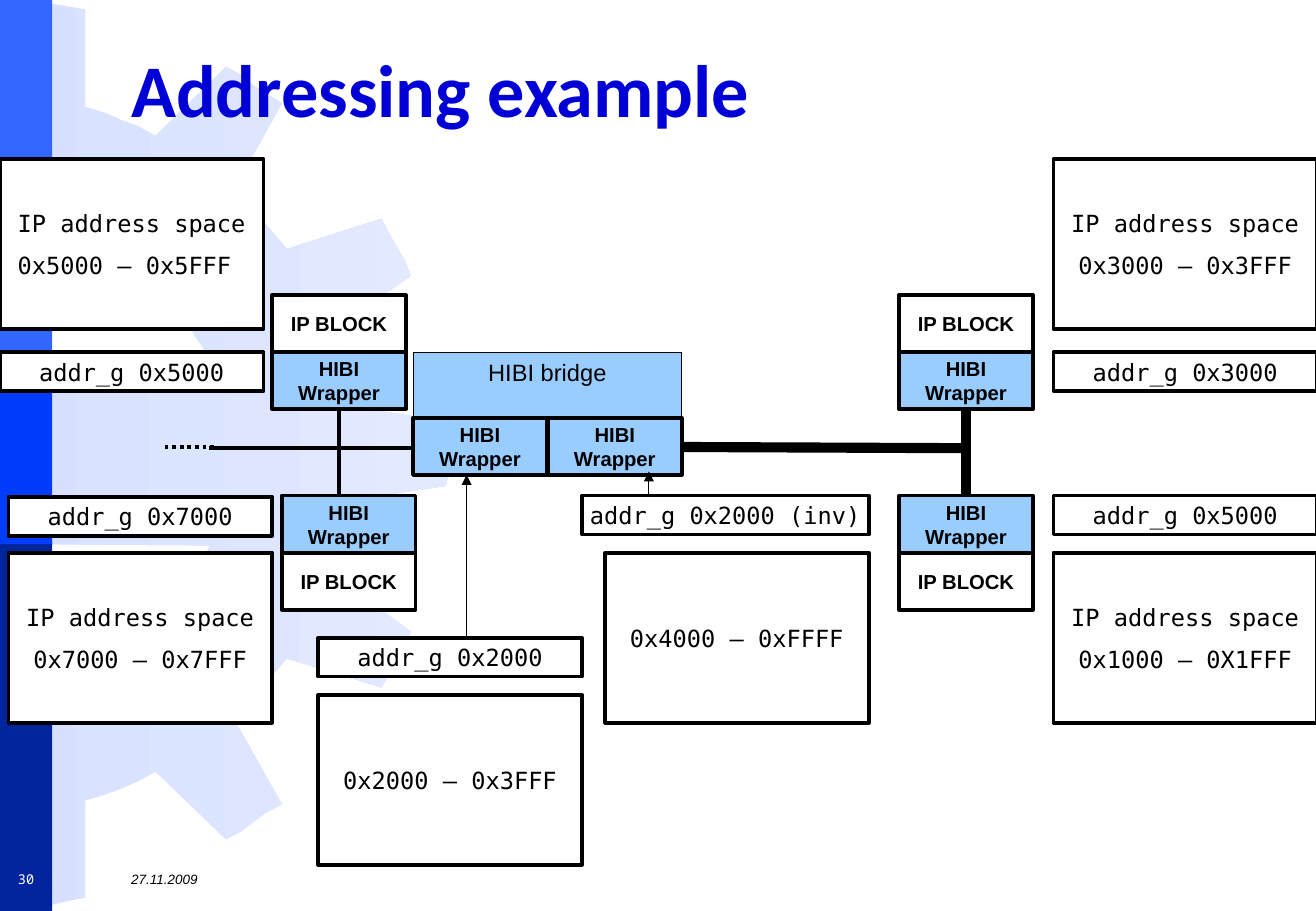
from dataclasses import dataclass

from lxml.etree import SubElement
from pptx import Presentation
from pptx.dml.color import RGBColor
from pptx.enum.dml import MSO_LINE
from pptx.enum.shapes import MSO_CONNECTOR, MSO_SHAPE
from pptx.enum.text import MSO_ANCHOR, PP_ALIGN
from pptx.oxml.ns import qn
from pptx.shapes.autoshape import Shape
from pptx.slide import Slide
from pptx.util import Pt

PX = 9144
BLACK, WHITE, LIGHT_BLUE = "000000", "FFFFFF", "99CCFF"
MONO = "DejaVu Sans Mono"
BLOCK_WIDTH, BLOCK_HEIGHT = 110, 47
SPACE_WIDTH, SPACE_HEIGHT, ADDRESS_HEIGHT = 217, 140, 32

GEAR = [
    (173, 299), (0, 299), (0, 448), (173, 449), (167, 461), (160, 472), (155, 484),
    (147, 495), (139, 504), (130, 512), (119, 522), (111, 528), (100, 536), (89, 543),
    (78, 551), (65, 555), (54, 561), (42, 564), (28, 568), (14, 570), (14, 749),
    (29, 746), (42, 745), (55, 742), (70, 739), (70, 659), (87, 654), (100, 649),
    (114, 643), (128, 635), (186, 691), (199, 684), (208, 677), (219, 669), (232, 662),
    (192, 591), (206, 578), (215, 568), (225, 555), (236, 542), (314, 566), (320, 555),
    (327, 543), (333, 534), (338, 520), (273, 472), (275, 457), (281, 442), (282, 435),
    (283, 427), (286, 412), (367, 400), (370, 385), (370, 373), (370, 359), (367, 347),
    (286, 334), (283, 320), (281, 305), (275, 291), (273, 273), (338, 227), (333, 214),
    (327, 204), (320, 192), (314, 180), (236, 205), (225, 192), (215, 180), (206, 169),
    (192, 157), (232, 85), (219, 77), (208, 70), (199, 62), (186, 55), (128, 112),
    (114, 104), (100, 99), (87, 93), (70, 88), (70, 8), (55, 5), (42, 3), (29, 1),
    (14, 0), (14, 176), (28, 180), (42, 181), (54, 186), (65, 191), (78, 196),
    (89, 201), (100, 209), (111, 216), (119, 226), (130, 234), (139, 242), (147, 253),
    (155, 264), (160, 276), (167, 286),
]


@dataclass
class Box:
    left: int
    top: int
    width: int
    height: int
    fill: str
    line_width: float = 0
    preset: MSO_SHAPE = MSO_SHAPE.RECTANGLE


@dataclass
class Wire:
    start: tuple[int, int]
    end: tuple[int, int]
    width: float
    dotted: bool = False
    arrow: bool = False


@dataclass
class Node:
    left: int
    wrapper_top: int
    block_top: int


@dataclass
class Address:
    left: int
    top: int
    text: str
    width: int = SPACE_WIDTH


@dataclass
class Space:
    left: int
    top: int
    lines: list[str]


BARS = [
    Box(0, 0, 43, 305, "3366FF"),
    Box(0, 446, 43, 304, "00259C"),
    Box(0, 299, 43, 149, "003CFC"),
]
WIRES = [
    Wire((279, 408), (279, 337), 2.25),
    Wire((795, 408), (795, 337), 6),
    Wire((561, 368), (795, 369), 6),
    Wire((340, 369), (172, 369), 2.25),
    Wire((176, 368), (136, 368), 2.25, dotted=True),
]
ARROWS = [
    Wire((384, 525), (384, 391), 0.75, arrow=True),
    Wire((534, 408), (534, 388), 0.75, arrow=True),
]
NODES = [
    Node(224, 290, 243),
    Node(232, 408, 455),
    Node(740, 290, 243),
    Node(740, 408, 455),
]
BRIDGE_WRAPPERS = [(340, 344), (451, 344)]
ADDRESSES = [
    Address(867, 408, "addr_g 0x5000"),
    Address(867, 290, "addr_g 0x3000"),
    Address(479, 408, "addr_g 0x2000 (inv)", 236),
    Address(7, 409, "addr_g 0x7000"),
    Address(0, 290, "addr_g 0x5000"),
    Address(262, 525, "addr_g 0x2000"),
]
SPACES = [
    Space(498, 455, ["0x4000 – 0xFFFF"]),
    Space(867, 455, ["IP address space", "0x1000 – 0X1FFF"]),
    Space(867, 131, ["IP address space", "0x3000 – 0x3FFF"]),
    Space(0, 131, ["IP address space", "0x5000 – 0x5FFF "]),
    Space(7, 455, ["IP address space", "0x7000 – 0x7FFF"]),
    Space(262, 572, ["0x2000 – 0x3FFF"]),
]


def color(value: str) -> RGBColor:
    return RGBColor.from_string(value)


def write_text(shape: Shape, lines: list[str], *, font: str = "Arial", size: float = 12,
               fill: str = BLACK, bold: bool = False, italic: bool = False,
               align: PP_ALIGN = PP_ALIGN.CENTER, anchor: MSO_ANCHOR = MSO_ANCHOR.MIDDLE,
               gap: float = 0, spacing: float = 1.0, wrap: bool = False) -> None:
    frame = shape.text_frame
    frame.word_wrap = wrap
    frame.vertical_anchor = anchor
    for index, line in enumerate(lines):
        paragraph = frame.add_paragraph() if index else frame.paragraphs[0]
        paragraph.alignment = align
        paragraph.line_spacing = spacing
        paragraph.space_before = Pt(gap if index else 0)
        run = paragraph.add_run()
        run.text = line
        run.font.name = font
        run.font.size = Pt(size)
        run.font.bold = bold
        run.font.italic = italic
        run.font.color.rgb = color(fill)


def place(shape: Shape, left: int, top: int, width: int, height: int) -> None:
    shape.left, shape.top = left * PX, top * PX
    shape.width, shape.height = width * PX, height * PX


def draw_box(slide: Slide, box: Box) -> Shape:
    shape = slide.shapes.add_shape(box.preset, 0, 0, 0, 0)
    place(shape, box.left, box.top, box.width, box.height)
    shape.shadow.inherit = False
    shape.fill.solid()
    shape.fill.fore_color.rgb = color(box.fill)
    if box.line_width:
        shape.line.color.rgb = color(BLACK)
        shape.line.width = Pt(box.line_width)
    else:
        shape.line.fill.background()
    return shape


def draw_wire(slide: Slide, wire: Wire) -> None:
    points = [value * PX for value in wire.start + wire.end]
    connector = slide.shapes.add_connector(MSO_CONNECTOR.STRAIGHT, *points)
    connector.line.color.rgb = color(BLACK)
    connector.line.width = Pt(wire.width)
    if wire.dotted:
        connector.line.dash_style = MSO_LINE.ROUND_DOT
    if wire.arrow:
        SubElement(connector.line._get_or_add_ln(), qn("a:tailEnd"), type="triangle")
    SubElement(connector.element.spPr, qn("a:effectLst"))


def draw_gear(slide: Slide) -> None:
    builder = slide.shapes.build_freeform(*GEAR[0], scale=PX)
    builder.add_line_segments(GEAR[1:], close=True)
    gear = builder.convert_to_shape()
    gear.shadow.inherit = False
    gear.line.fill.background()
    gear.fill.gradient()
    gear.fill.gradient_angle = 0
    for stop, position, tint in zip(gear.fill.gradient_stops, (0, 1), ("D7E1FF", "E3EAFF")):
        stop.position = position
        stop.color.rgb = color(tint)


def draw_block(slide: Slide, left: int, top: int, fill: str, lines: list[str]) -> None:
    box = Box(left, top, BLOCK_WIDTH, BLOCK_HEIGHT, fill, 2.25, MSO_SHAPE.FLOWCHART_PROCESS)
    write_text(draw_box(slide, box), lines, bold=True)


def draw_wrapper(slide: Slide, left: int, top: int) -> None:
    draw_block(slide, left, top, LIGHT_BLUE, ["HIBI", "Wrapper"])


def draw_footer(slide: Slide, left: int, width: int, text: str, **style) -> None:
    shape = slide.shapes.add_textbox(0, 0, 0, 0)
    place(shape, left, 711, width, 26)
    write_text(shape, [text], size=8, wrap=True, **style)


def main() -> None:
    presentation = Presentation()
    presentation.slide_width, presentation.slide_height = 1083 * PX, 750 * PX
    slide = presentation.slides.add_slide(presentation.slide_layouts[5])
    draw_gear(slide)
    for bar in BARS:
        draw_box(slide, bar)

    title = slide.shapes.title
    place(title, 98, 21, 939, 94)
    write_text(title, ["Addressing example"], font="Calibri", size=44, fill="0000D6", bold=True,
               align=PP_ALIGN.LEFT, anchor=MSO_ANCHOR.BOTTOM, spacing=0.9, wrap=True)
    slide.shapes.element.append(title.element)

    bridge = draw_box(slide, Box(340, 290, 221, 101, LIGHT_BLUE, 0.75))
    write_text(bridge, ["HIBI bridge"], size=14, anchor=MSO_ANCHOR.TOP)
    for wire in WIRES:
        draw_wire(slide, wire)
    for node in NODES:
        draw_block(slide, node.left, node.block_top, WHITE, ["IP BLOCK"])
        draw_wrapper(slide, node.left, node.wrapper_top)
    for left, top in BRIDGE_WRAPPERS:
        draw_wrapper(slide, left, top)
    for address in ADDRESSES:
        box = Box(address.left, address.top, address.width, ADDRESS_HEIGHT, WHITE, 2.25)
        write_text(draw_box(slide, box), [address.text], font=MONO, size=14)
    for space in SPACES:
        box = Box(space.left, space.top, SPACE_WIDTH, SPACE_HEIGHT, WHITE, 2.25)
        write_text(draw_box(slide, box), space.lines, font=MONO, size=14, gap=8)
    for arrow in ARROWS:
        draw_wire(slide, arrow)

    draw_footer(slide, 98, 939, "27.11.2009", italic=True, align=PP_ALIGN.LEFT)
    draw_footer(slide, 0, 43, "30", font="Noto Sans Mono", fill=WHITE)
    presentation.save("out.pptx")


if __name__ == "__main__":
    main()
